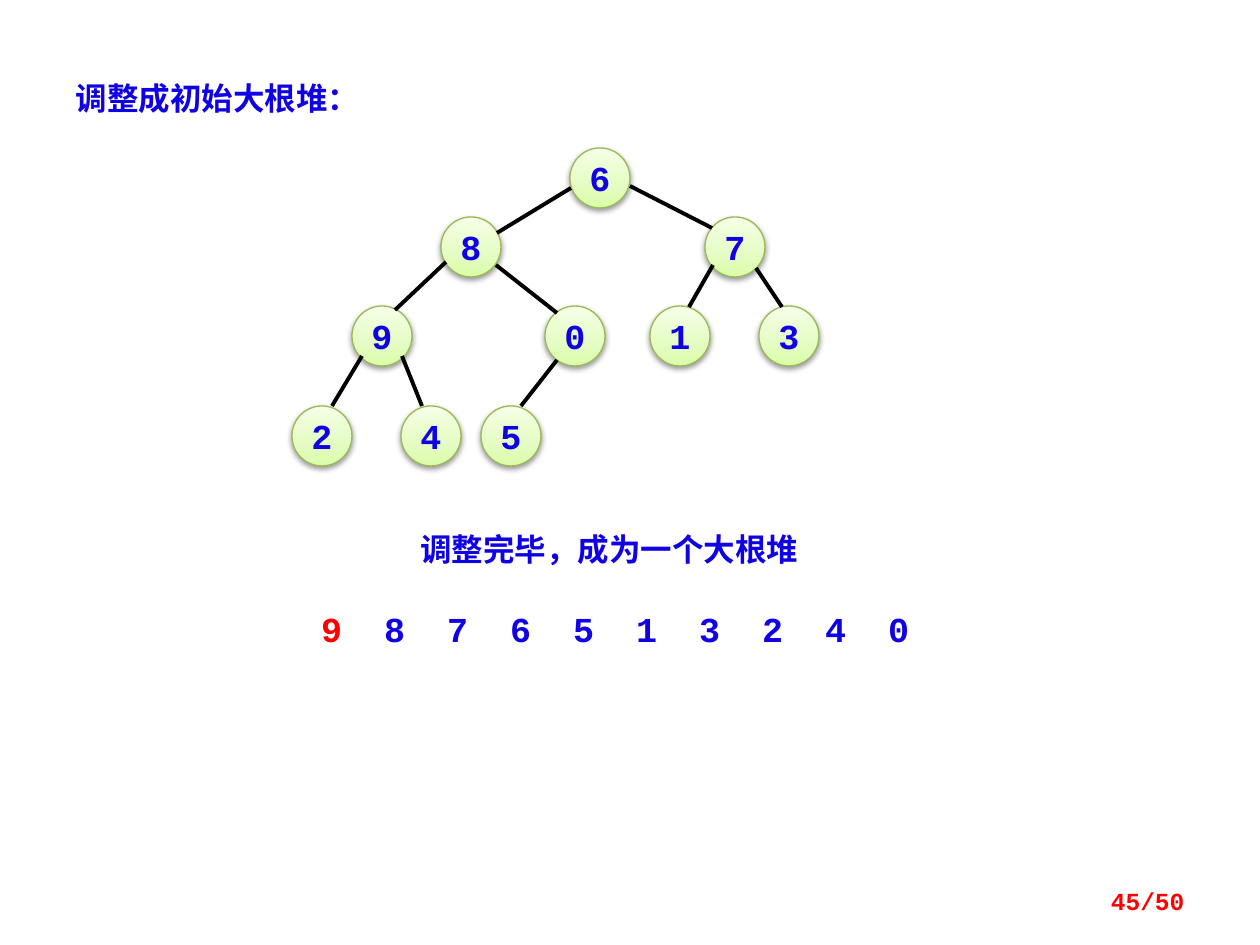
from lxml import etree
from pptx import Presentation, util as u
from pptx.dml.color import RGBColor
from pptx.enum import shapes, text
from pptx.oxml.ns import qn

PX_PER_INCH = 126
COLORS = {"blue": "1000E4", "red": "FF0000", "black": "000000", "rim": "98B955"}
NODE_STOPS = [(0, "DAFDA7"), (35, "E4FCC2"), (100, "F5FFE7")]
LATIN, CHINESE = "Courier New", "Noto Sans CJK SC"
ALIGN, ANCHOR = text.PP_ALIGN, text.MSO_ANCHOR

DIAMETER = 60
ROWS = [178, 247, 336, 436]
# key: (centre x, row)
NODES = {
    "8": (471, 1), "9": (382, 2), "5": (511, 3), "2": (322, 3), "4": (431, 3),
    "0": (575, 2), "1": (680, 2), "3": (789, 2), "7": (735, 1), "6": (600, 0),
}
EDGES = [
    (362, 356, 332, 406), (402, 356, 422, 406), (557, 360, 521, 406),
    (446, 262, 395, 310), (496, 265, 557, 313), (713, 265, 689, 307),
    (756, 268, 782, 307), (571, 188, 497, 233), (630, 186, 712, 228),
]
HEAP = "9876513240"
DIGIT_PITCH = 63


def px(length):
    return u.Inches(length / PX_PER_INCH)


def add_xml(parent, tag, **attributes):
    return etree.SubElement(parent, qn(tag), {k: str(v) for k, v in attributes.items()})


class HeapSlide:
    def __init__(self, deck):
        self.slide = deck.slides.add_slide(deck.slide_layouts[5])

    def span(self, para, words, size, color="blue", font=LATIN):
        span = para.add_run()
        span.text = words
        span.font.size = u.Pt(size)
        span.font.bold = True
        span.font.color.rgb = RGBColor.from_string(COLORS[color])
        span.font.name = font
        add_xml(span.font._element, "a:ea", typeface=CHINESE)

    def frame(self, box, align, anchor=ANCHOR.TOP):
        """Set up the text frame of a box and return its first paragraph."""
        frame = box.text_frame
        frame.word_wrap = True
        frame.auto_size = text.MSO_AUTO_SIZE.NONE
        frame.vertical_anchor = anchor
        para = frame.paragraphs[0]
        para.alignment = align
        return para

    def title(self, left, top, width, height, words):
        box = self.slide.shapes.title
        box.left, box.top, box.width, box.height = map(px, (left, top, width, height))
        self.span(self.frame(box, ALIGN.LEFT), words, 18)

    def label(self, left, top, width, height, words, size, align,
              anchor=ANCHOR.TOP, **style):
        box = self.slide.shapes.add_textbox(*map(px, (left, top, width, height)))
        self.span(self.frame(box, align, anchor), words, size, **style)

    def sequence(self, left, top, width, height, digits, inset):
        """Digits on evenly spaced tab stops, the first one in red."""
        box = self.slide.shapes.add_textbox(*map(px, (left, top, width, height)))
        para = self.frame(box, ALIGN.LEFT)
        box.text_frame.margin_left = px(inset)
        stops = add_xml(para._p.get_or_add_pPr(), "a:tabLst")
        for index in range(1, len(digits)):
            add_xml(stops, "a:tab", pos=px(index * DIGIT_PITCH), algn="l")
        self.span(para, digits[0], 20, "red")
        self.span(para, "".join("\t" + digit for digit in digits[1:]), 20)

    def node(self, key, center_x, center_y):
        radius = DIAMETER // 2
        circle = self.slide.shapes.add_shape(
            shapes.MSO_SHAPE.OVAL, px(center_x - radius), px(center_y - radius),
            px(DIAMETER), px(DIAMETER))
        circle.fill.gradient()
        circle.fill.gradient_angle = 90
        properties = circle._element.spPr
        stops = properties.find(".//" + qn("a:gsLst"))
        for stop in list(stops):
            stops.remove(stop)
        for percent, color in NODE_STOPS:
            add_xml(add_xml(stops, "a:gs", pos=percent * 1000), "a:srgbClr", val=color)
        circle.line.color.rgb = RGBColor.from_string(COLORS["rim"])
        circle.line.width = u.Pt(0.75)
        circle.shadow.inherit = False
        shadow = add_xml(properties.find(qn("a:effectLst")), "a:outerShdw",
                         blurRad=u.Pt(3.1), dist=u.Pt(1.6), dir=5400000, rotWithShape=0)
        add_xml(add_xml(shadow, "a:srgbClr", val=COLORS["black"]), "a:alpha", val=38000)
        para = self.frame(circle, ALIGN.CENTER, ANCHOR.MIDDLE)
        circle.text_frame.word_wrap = False
        self.span(para, key, 20)

    def edge(self, *ends):
        line = self.slide.shapes.add_connector(
            shapes.MSO_CONNECTOR.STRAIGHT, *map(px, ends))
        line.line.color.rgb = RGBColor.from_string(COLORS["black"])
        line.line.width = u.Pt(2.25)
        add_xml(line._element.spPr, "a:effectLst")


def main():
    deck = Presentation()
    deck.slide_width, deck.slide_height = px(1260), px(945)
    page = HeapSlide(deck)
    page.title(63, 73, 449, 50, "调整成初始大根堆：")
    for key, (center_x, row) in NODES.items():
        page.node(key, center_x, ROWS[row])
    for ends in EDGES:
        page.edge(*ends)
    page.label(312, 524, 595, 50, "调整完毕，成为一个大根堆", 18, ALIGN.CENTER, font=CHINESE)
    page.sequence(286, 601, 659, 55, HEAP, inset=35)
    page.label(903, 876, 294, 50, "45/50", 14, ALIGN.RIGHT, ANCHOR.MIDDLE, color="red")
    deck.save("out.pptx")


if __name__ == "__main__":
    main()
